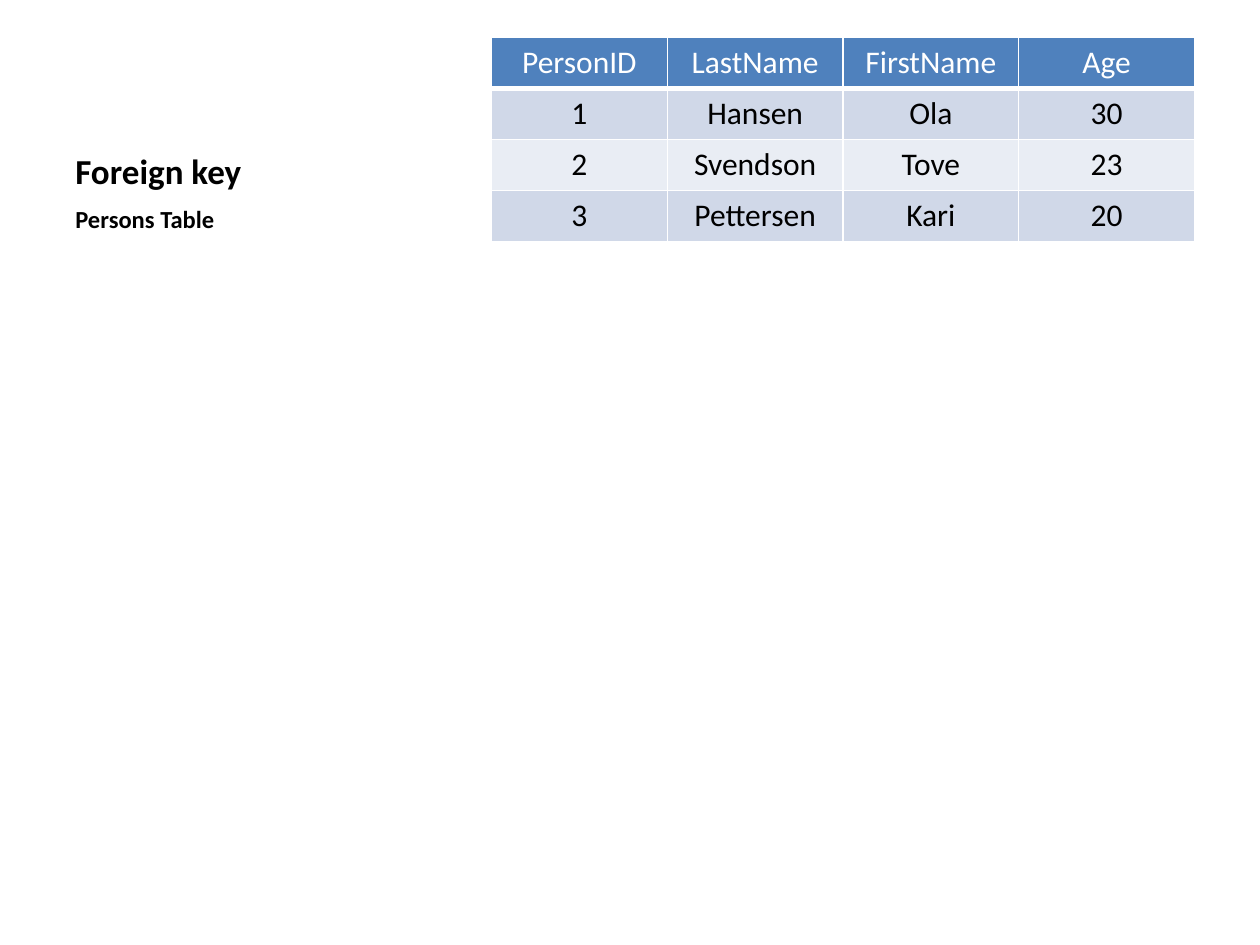
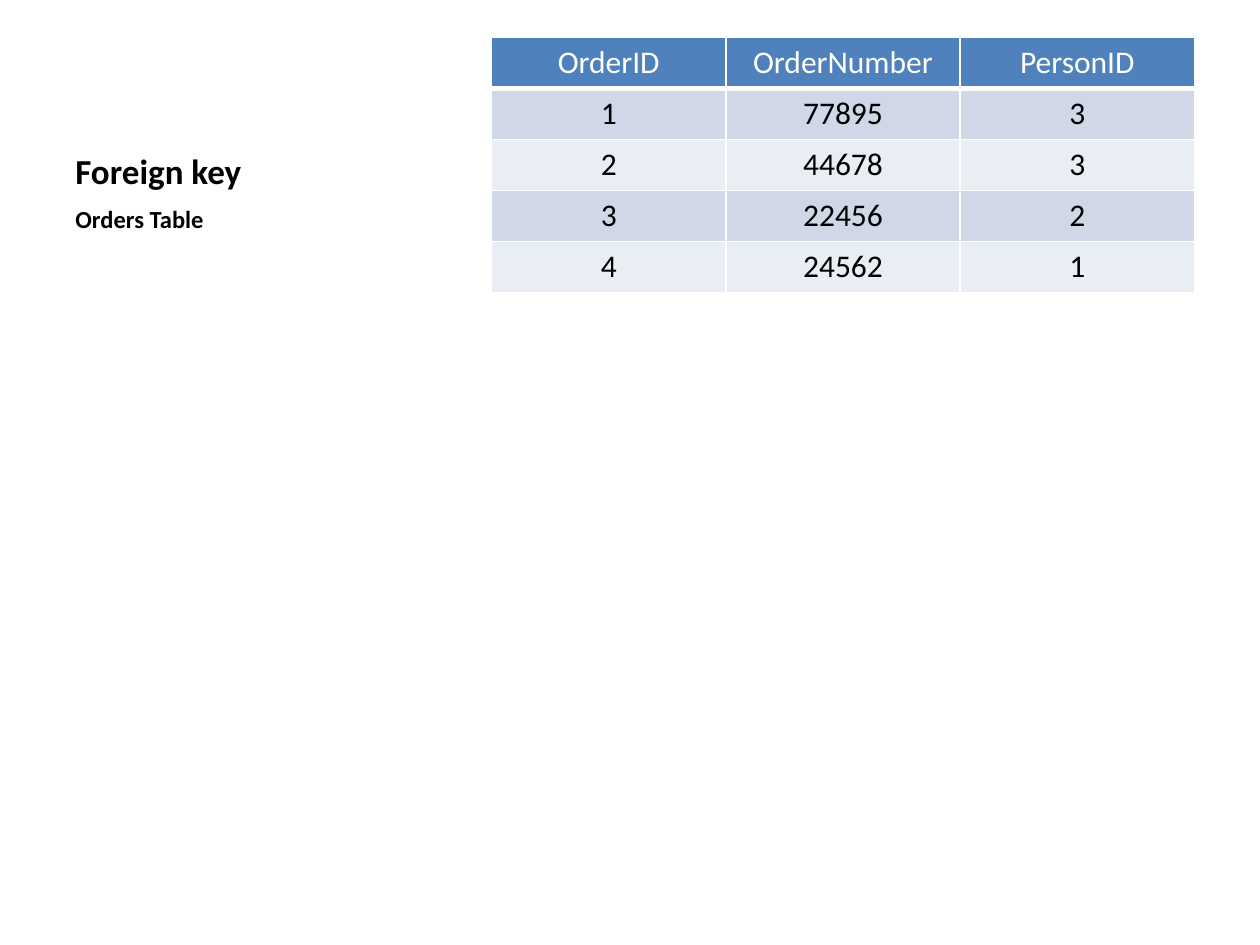
import pptx
import pptx.dml.color
import pptx.enum.text
import pptx.oxml
import pptx.oxml.ns
import pptx.util
from pptx.util import Cm

RGBColor = pptx.dml.color.RGBColor
BLACK = RGBColor(0x00, 0x00, 0x00)
WHITE = RGBColor(0xFF, 0xFF, 0xFF)
HEADER_BLUE = RGBColor(0x4F, 0x81, 0xBD)
BAND_DARK = RGBColor(0xD0, 0xD8, 0xE8)
BAND_LIGHT = RGBColor(0xE9, 0xED, 0xF4)

PERSONS = [
    ("PersonID", "LastName", "FirstName", "Age"),
    ("1", "Hansen", "Ola", "30"),
    ("2", "Svendson", "Tove", "23"),
    ("3", "Pettersen", "Kari", "20"),
]
ORDERS = [
    ("OrderID", "OrderNumber", "PersonID"),
    ("1", "77895", "3"),
    ("2", "44678", "3"),
    ("3", "22456", "2"),
    ("4", "24562", "1"),
]


class KeySlides:
    font = "Calibri"
    text_left, text_width = Cm(1.27), Cm(8.36)
    table_left, table_top, table_width = Cm(9.91), Cm(0.75), Cm(14.17)
    row_height = Cm(1.03)

    def __init__(self):
        self.deck = pptx.Presentation()
        self.deck.slide_width = Cm(25.4)
        self.deck.slide_height = Cm(19.05)
        self.page = None

    def add_page(self):
        self.page = self.deck.slides.add_slide(self.deck.slide_layouts[6])

    def add_span(self, para, text, size, color, bold=False):
        span = para.add_run()
        span.text = text
        span.font.name = self.font
        span.font.size = pptx.util.Pt(size)
        span.font.bold = bold
        span.font.color.rgb = color

    def add_heading(self, text, top, height, size, anchor):
        box = self.page.shapes.add_textbox(self.text_left, top, self.text_width, height)
        box.text_frame.word_wrap = True
        box.text_frame.vertical_anchor = anchor
        self.add_span(box.text_frame.paragraphs[0], text, size, BLACK, bold=True)

    def add_border(self, cell, side, points):
        properties = cell._tc.get_or_add_tcPr()
        properties.append(pptx.oxml.parse_xml(
            f'<a:{side} {pptx.oxml.ns.nsdecls("a")} w="{pptx.util.Pt(points)}">'
            f'<a:solidFill><a:srgbClr val="{WHITE}"/></a:solidFill></a:{side}>'))

    def add_cell(self, cell, text, row):
        is_header = row == 0
        for side in ("lnL", "lnR", "lnT", "lnB"):
            self.add_border(cell, side, 3 if is_header and side == "lnB" else 1)
        cell.fill.solid()
        band = BAND_DARK if row % 2 else BAND_LIGHT
        cell.fill.fore_color.rgb = HEADER_BLUE if is_header else band
        para = cell.text_frame.paragraphs[0]
        para.alignment = pptx.enum.text.PP_ALIGN.CENTER
        self.add_span(para, text, 18, WHITE if is_header else BLACK)

    def add_table(self, records):
        grid = self.page.shapes.add_table(
            len(records), len(records[0]), self.table_left, self.table_top,
            self.table_width, self.row_height * len(records)).table
        for row, record in enumerate(records):
            for column, text in enumerate(record):
                self.add_cell(grid.cell(row, column), text, row)

    def add_key_page(self, subtitle, records):
        anchors = pptx.enum.text.MSO_ANCHOR
        self.add_page()
        self.add_heading("Foreign key", Cm(0.76), Cm(3.23), 20, anchors.BOTTOM)
        self.add_heading(subtitle, Cm(3.99), Cm(13.03), 14, anchors.TOP)
        self.add_table(records)


def main():
    slides = KeySlides()
    slides.add_key_page("Persons Table", PERSONS)
    slides.add_key_page("Orders Table", ORDERS)
    slides.deck.save("out.pptx")


if __name__ == "__main__":
    main()
